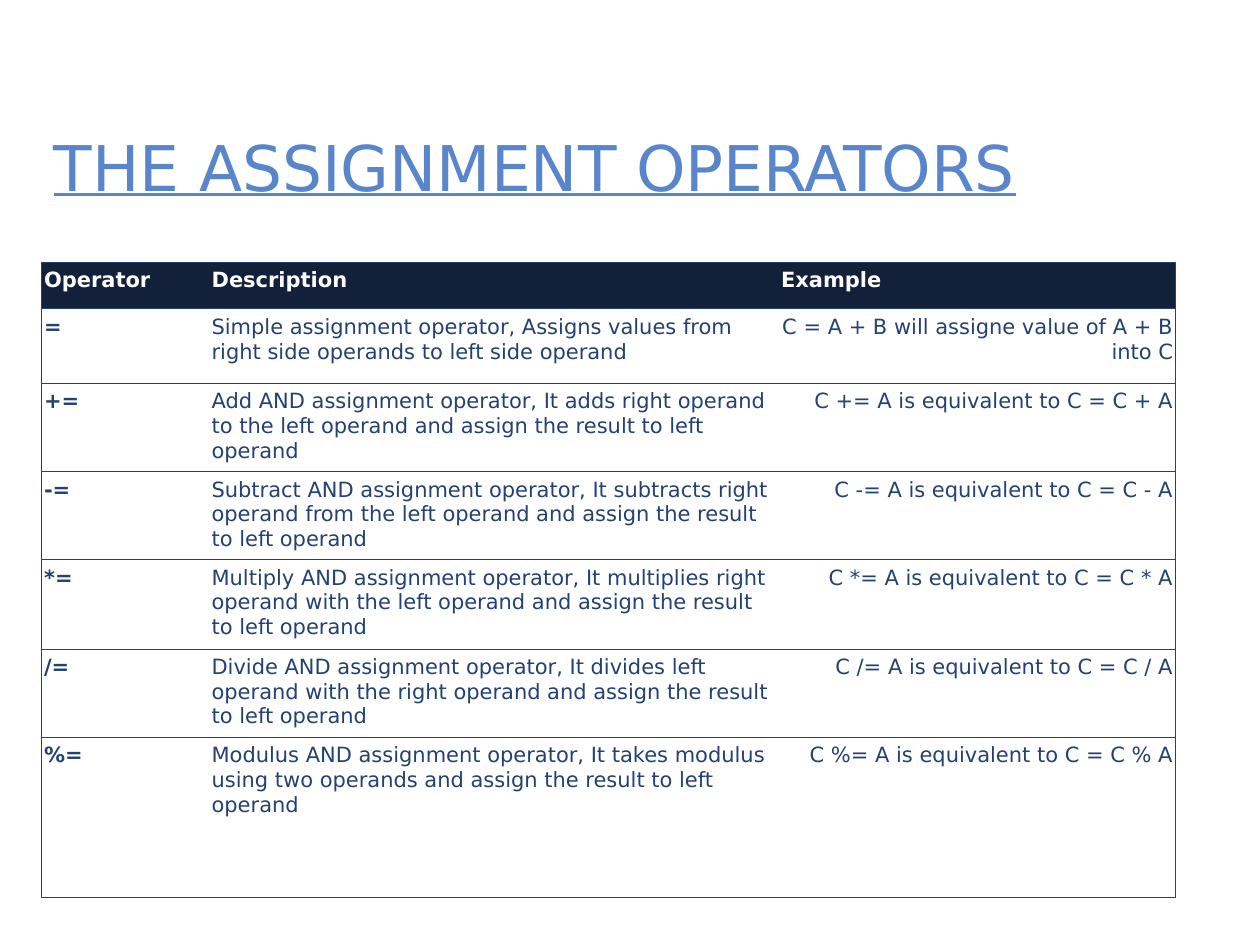
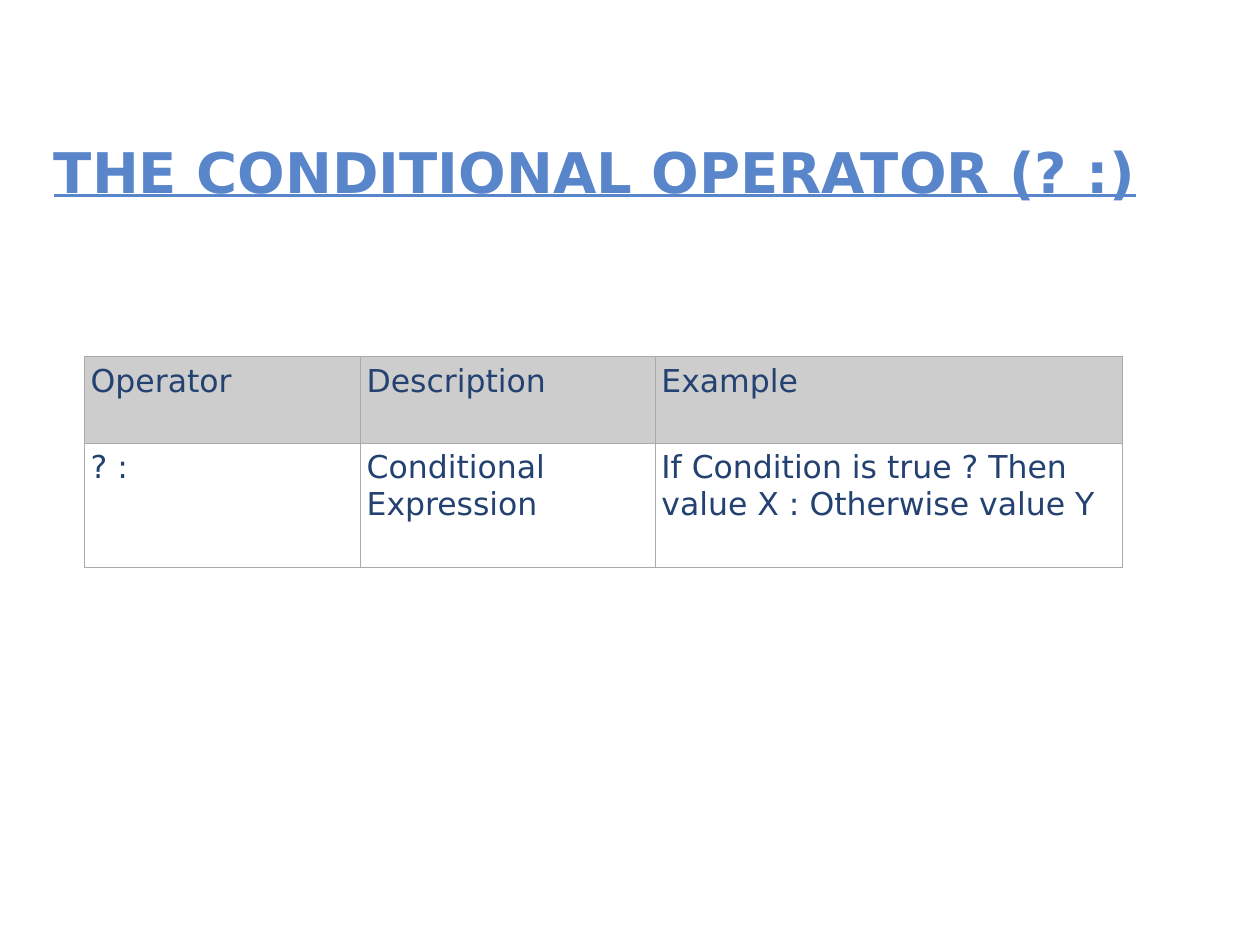
from lxml.etree import SubElement
from pptx import Presentation
from pptx.dml.color import RGBColor
from pptx.enum.text import MSO_ANCHOR, PP_ALIGN
from pptx.oxml.ns import qn
from pptx.util import Inches, Pt

COLORS = {
    "title": "5985CB",
    "navy": "234171",
    "dark": "122039",
    "header_gray": "CDCDCD",
    "line_gray": "AAAAAA",
    "white": "FFFFFF",
}

HEADINGS = ["Operator", "Description", "Example"]

ASSIGNMENTS = [
    ("=", "Simple assignment operator, Assigns values from right side operands to left side operand",
     "C = A + B will assigne value of A + B into C"),
    ("+=", "Add AND assignment operator, It adds right operand to the left operand "
     "and assign the result to left operand", "C += A is equivalent to C = C + A"),
    ("-=", "Subtract AND assignment operator, It subtracts right operand from the left operand "
     "and assign the result to left operand", "C -= A is equivalent to C = C - A"),
    ("*=", "Multiply AND assignment operator, It multiplies right operand with the left operand "
     "and assign the result to left operand", "C *= A is equivalent to C = C * A"),
    ("/=", "Divide AND assignment operator, It divides left operand with the right operand "
     "and assign the result to left operand", "C /= A is equivalent to C = C / A"),
    ("%=", "Modulus AND assignment operator, It takes modulus using two operands "
     "and assign the result to left operand", "C %= A is equivalent to C = C % A"),
]

CONDITIONAL = [
    ("? :", "Conditional Expression", "If Condition is true ? Then value X : Otherwise value Y"),
]


class Deck:
    font = "DejaVu Sans"

    def __init__(self):
        self.prs = Presentation()
        self.prs.slide_width = Inches(10)
        self.prs.slide_height = Inches(7.5)
        self.s = None

    def add_text(self, tf, text, color, align=PP_ALIGN.LEFT, **formats):
        p = tf.paragraphs[0]
        p.alignment = align
        r = p.add_run()
        r.text = text
        for name, value in {"name": self.font, **formats}.items():
            setattr(r.font, name, value)
        r.font.color.rgb = RGBColor.from_string(COLORS[color])

    def slide(self, title, **formats):
        self.s = self.prs.slides.add_slide(self.prs.slide_layouts[6])
        sp = self.s.shapes.add_textbox(Inches(0.33), Inches(0.92), Inches(9.08), Inches(0.75))
        tf = sp.text_frame
        tf.word_wrap = True
        tf.vertical_anchor = MSO_ANCHOR.BOTTOM
        self.add_text(tf, title, "title", underline=True, **formats)

    def border(self, cell, sides, color, width):
        tc_pr = cell._tc.get_or_add_tcPr()
        for side in "LRTB":
            ln = SubElement(tc_pr, qn(f"a:ln{side}"), w=str(int(Pt(width))))
            if side in sides:
                fill = SubElement(ln, qn("a:solidFill"))
                SubElement(fill, qn("a:srgbClr"), val=COLORS[color])
            else:
                SubElement(ln, qn("a:noFill"))

    def table(self, left, top, widths, heights, rows, style):
        shape = self.s.shapes.add_table(
            len(heights), len(widths), Inches(left), Inches(top),
            Inches(sum(widths)), Inches(sum(heights)))
        table = shape.table
        table.first_row = table.horz_banding = False
        for column, width in zip(table.columns, widths):
            column.width = Inches(width)
        for row, height in zip(table.rows, heights):
            row.height = Inches(height)
        last = len(widths) - 1
        for i, texts in enumerate([HEADINGS] + rows):
            for j, text in enumerate(texts):
                cell = table.cell(i, j)
                cell.margin_left = cell.margin_right = Inches(style["inset"])
                cell.margin_top = cell.margin_bottom = Inches(0.05)
                sides = "TB"
                if style["grid"] or j == 0:
                    sides += "L"
                if style["grid"] or j == last:
                    sides += "R"
                self.border(cell, sides, style["line"], style["line_width"])
                cell.fill.solid()
                fill = "white" if i else style["header_fill"]
                cell.fill.fore_color.rgb = RGBColor.from_string(COLORS[fill])
                right = style["right_examples"] and i > 0 and j == last
                self.add_text(
                    cell.text_frame, text, "navy" if i else style["header_text"],
                    PP_ALIGN.RIGHT if right else PP_ALIGN.LEFT,
                    size=Pt(style["size"]), bold=style["bold_heads"] and (i == 0 or j == 0))


def main():
    deck = Deck()

    deck.slide("THE ASSIGNMENT OPERATORS", size=Pt(36))
    deck.table(
        0.33, 2.08, [1.33, 4.52, 3.15], [0.37, 0.59, 0.64, 0.7, 0.71, 0.64, 1.27], ASSIGNMENTS,
        {"inset": 0.02, "size": 12, "grid": False, "line": "navy", "line_width": 0.45,
         "header_fill": "dark", "header_text": "white",
         "bold_heads": True, "right_examples": True})

    deck.slide("THE CONDITIONAL OPERATOR (? :)", size=Pt(32), bold=True)
    deck.table(
        0.67, 2.83, [2.19, 2.34, 3.71], [0.69, 0.98], CONDITIONAL,
        {"inset": 0.05, "size": 18, "grid": True, "line": "line_gray", "line_width": 0.34,
         "header_fill": "header_gray", "header_text": "navy",
         "bold_heads": False, "right_examples": False})

    deck.prs.save("out.pptx")


if __name__ == "__main__":
    main()
